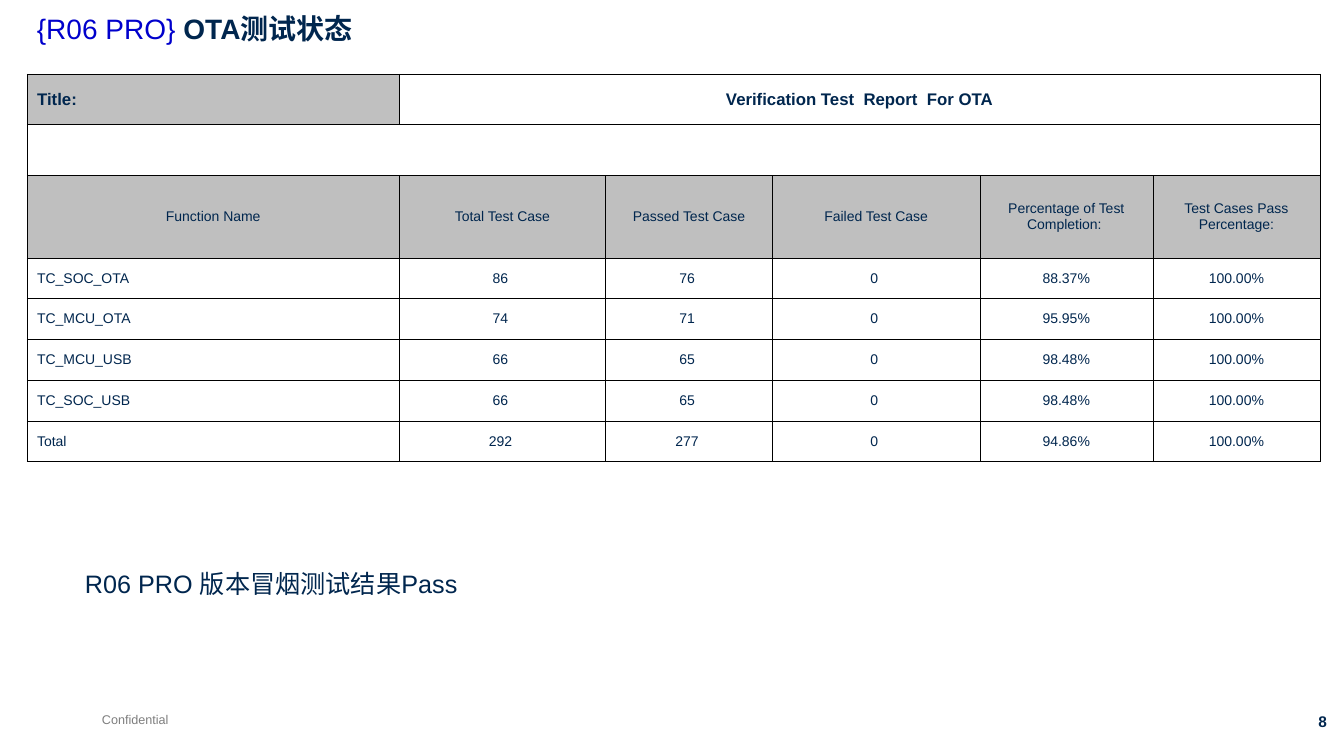
from lxml import etree
from pptx import Presentation, util as u
from pptx.dml.color import RGBColor
from pptx.enum import text as t
from pptx.oxml import ns

COLORS = {"navy": "00264E", "blue": "0000CC", "gray": "7F7F7F",
          "title_fill": "C0C0C0", "header_fill": "BFBFBF", "white": "FFFFFF", "border": "000000"}
FONT = "Arial"
SCALE = 9080
BORDER_WIDTH = u.Pt(0.23)

REPORT_LABEL = "Title:"
REPORT_TITLE = "Verification Test  Report  For OTA"
HEADERS = ["Function Name", "Total Test Case", "Passed Test Case", "Failed Test Case",
           "Percentage of Test Completion: ", "Test Cases Pass Percentage:"]
RESULTS = [
    ("TC_SOC_OTA", 86, 76, 0, "88.37%", "100.00%"),
    ("TC_MCU_OTA", 74, 71, 0, "95.95%", "100.00%"),
    ("TC_MCU_USB", 66, 65, 0, "98.48%", "100.00%"),
    ("TC_SOC_USB", 66, 65, 0, "98.48%", "100.00%"),
    ("Total", 292, 277, 0, "94.86%", "100.00%"),
]
TABLE_LEFT, TABLE_TOP = 27, 74
COLUMN_WIDTHS = [372, 206, 167, 207, 173, 167]
ROW_HEIGHTS = [50, 51, 83, 40, 41, 41, 41, 40]

TEXT_BOXES = [
    ((27, 10, 1193, 63), [("{R06 PRO} ", {"size": 20, "color": "blue"}),
                          ("OTA测试状态", {"size": 20, "bold": True})], {"spacing": 0.9}),
    ((75, 563, 464, 40), [("R06 PRO 版本冒烟测试结果Pass", {"size": 18})], {}),
    ((92, 706, 87, 25), [("Confidential", {"size": 9, "color": "gray"})], {"wrap": False}),
    ((1241, 706, 95, 29), [("8", {"size": 11, "bold": True})], {"align": "RIGHT"}),
]


def px(value):
    return u.Emu(value * SCALE)


def write(para, content, size=10, color="navy", bold=False, align="LEFT"):
    para.alignment = getattr(t.PP_ALIGN, align)
    span = para.add_run()
    span.text = content
    span.font.name = FONT
    span.font.size = u.Pt(size)
    span.font.bold = bold
    span.font.color.rgb = RGBColor.from_string(COLORS[color])


def add_text(page, place, spans, wrap=True, align="LEFT", spacing=None):
    box = page.shapes.add_textbox(*map(px, place))
    box.text_frame.word_wrap = wrap
    para = box.text_frame.paragraphs[0]
    para.line_spacing = spacing
    for content, style in spans:
        write(para, content, align=align, **style)


def style_cell(cell, fill):
    cell.vertical_anchor = t.MSO_ANCHOR.MIDDLE
    properties = cell._tc.get_or_add_tcPr()
    for side in ("lnL", "lnR", "lnT", "lnB"):
        line = etree.SubElement(properties, ns.qn(f"a:{side}"), w=str(BORDER_WIDTH))
        solid = etree.SubElement(line, ns.qn("a:solidFill"))
        etree.SubElement(solid, ns.qn("a:srgbClr"), val=COLORS["border"])
    cell.fill.solid()
    cell.fill.fore_color.rgb = RGBColor.from_string(COLORS[fill])


def add_results(page):
    table = page.shapes.add_table(
        len(ROW_HEIGHTS), len(COLUMN_WIDTHS), px(TABLE_LEFT), px(TABLE_TOP),
        px(sum(COLUMN_WIDTHS)), px(sum(ROW_HEIGHTS))).table
    for column, width in zip(table.columns, COLUMN_WIDTHS):
        column.width = px(width)
    for row, height in zip(table.rows, ROW_HEIGHTS):
        row.height = px(height)

    fills = {(0, 0): "title_fill"}
    fills.update({(2, column): "header_fill" for column in range(len(HEADERS))})
    for row in range(len(ROW_HEIGHTS)):
        for column in range(len(COLUMN_WIDTHS)):
            style_cell(table.cell(row, column), fills.get((row, column), "white"))
    last = len(COLUMN_WIDTHS) - 1
    table.cell(0, 1).merge(table.cell(0, last))
    table.cell(1, 0).merge(table.cell(1, last))

    def fill_cell(row, column, content, **style):
        write(table.cell(row, column).text_frame.paragraphs[0], content, **style)

    fill_cell(0, 0, REPORT_LABEL, size=12, bold=True)
    fill_cell(0, 1, REPORT_TITLE, size=12, bold=True, align="CENTER")
    for column, header in enumerate(HEADERS):
        fill_cell(2, column, header, align="CENTER")
    for row, result in enumerate(RESULTS, start=3):
        for column, value in enumerate(result):
            content = f"{value} " if isinstance(value, int) else value
            fill_cell(row, column, content, align="CENTER" if column else "LEFT")


def main():
    deck = Presentation()
    deck.slide_width, deck.slide_height = px(1343), px(755)
    page = deck.slides.add_slide(deck.slide_layouts[6])
    for place, spans, layout in TEXT_BOXES:
        add_text(page, place, spans, **layout)
    add_results(page)
    deck.save("out.pptx")


if __name__ == "__main__":
    main()
